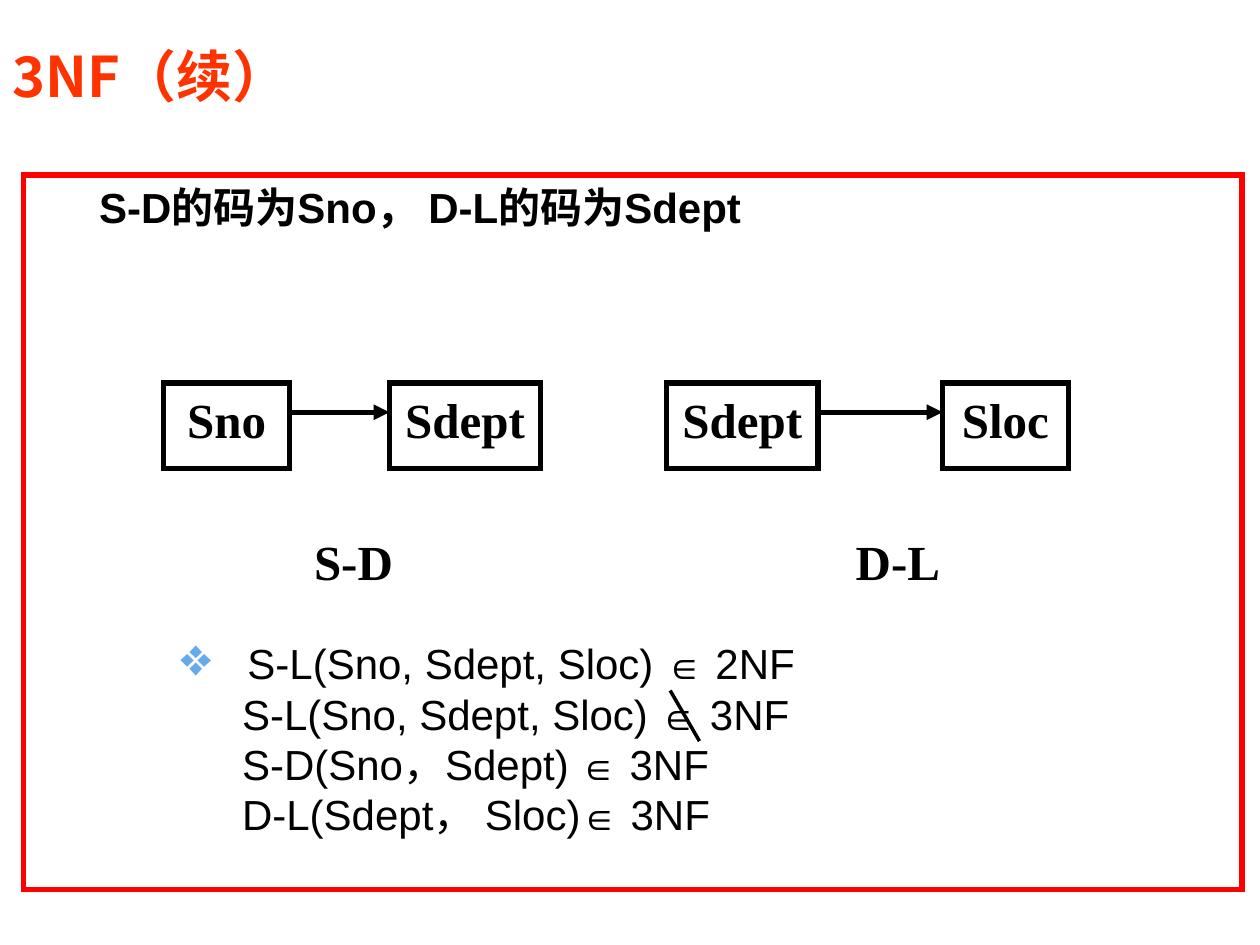
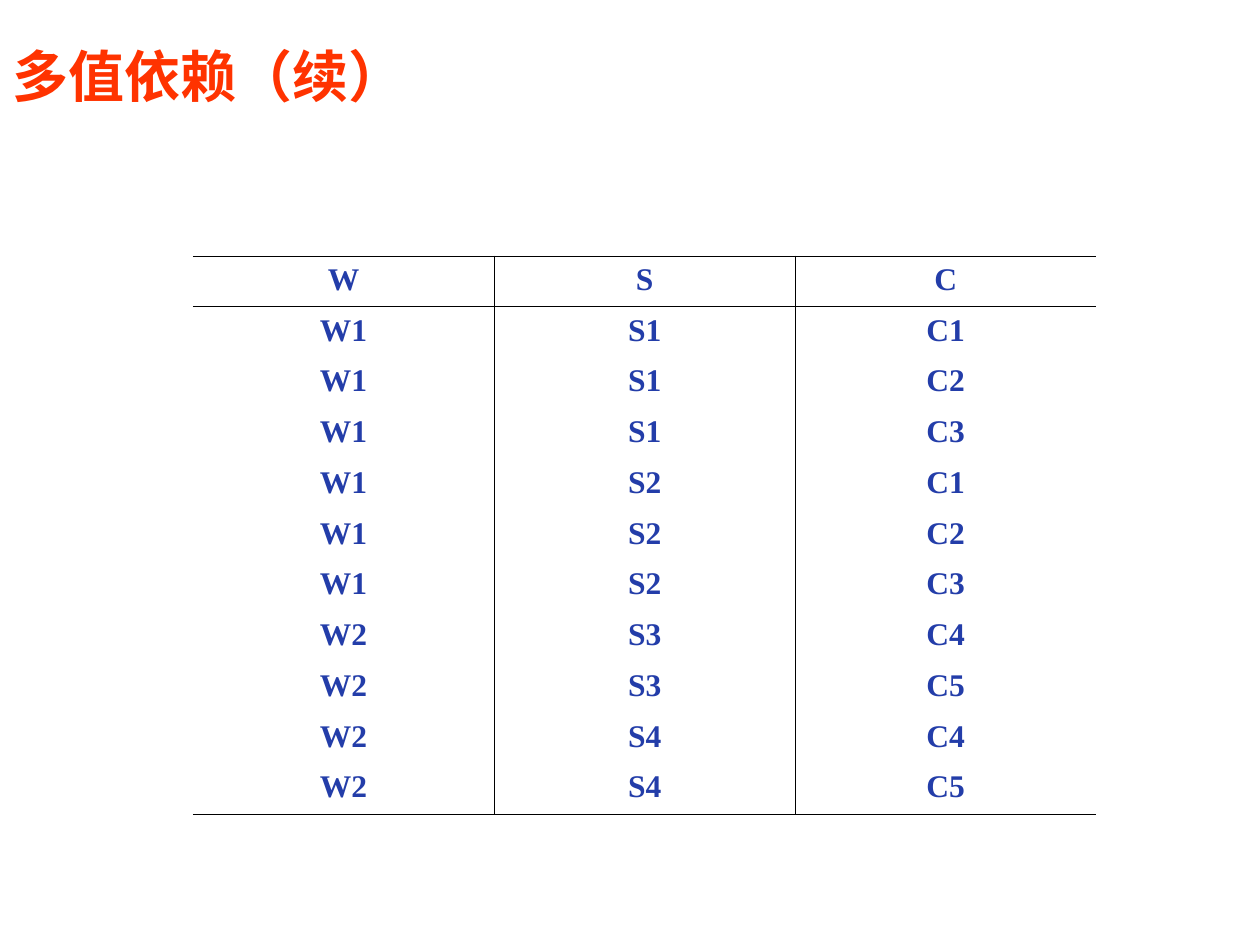
from dataclasses import dataclass

from lxml import etree
from pptx import Presentation
from pptx import util as u
from pptx.dml.color import RGBColor
from pptx.enum import shapes, text
from pptx.oxml import ns


@dataclass(frozen=True)
class Theme:
    title_color: str = "FF3300"
    frame_color: str = "FF0000"
    ink: str = "000000"
    bullet_color: str = "65AAE9"
    table_color: str = "233DA9"
    title_font: str = "Noto Sans CJK SC"
    body_font: str = "Arial"
    diagram_font: str = "Times New Roman"
    title_size: int = 32
    diagram_size: int = 28
    body_size: int = 24
    symbol_size: int = 22
    table_size: int = 18
    heavy: float = 3
    medium: float = 2
    hairline: float = 0.45


def child(parent, tag, **attributes):
    return etree.SubElement(parent, ns.qn(tag), attributes)


def apply(target, values):
    for name, value in values.items():
        setattr(target, name, value)


class Deck:
    def __init__(self, theme):
        self.theme = theme
        self.presentation = Presentation()
        self.presentation.slide_width = u.Cm(25.4)
        self.presentation.slide_height = u.Cm(19.05)
        self.slide = None

    def new_slide(self, title):
        layout = self.presentation.slide_layouts[6]
        self.slide = self.presentation.slides.add_slide(layout)
        theme = self.theme
        frame = self.text_box(0, 0.73, 20.52, 1.57)
        frame.vertical_anchor = text.MSO_ANCHOR.MIDDLE
        run = self.run(frame.paragraphs[0], title, theme.title_font, theme.title_size,
                       theme.title_color, bold=True)
        child(run.font._element, "a:ea", typeface=theme.title_font)

    def run(self, paragraph, words, font, size, color, bold=False):
        run = paragraph.add_run()
        run.text = words
        run.font.color.rgb = RGBColor.from_string(color)
        apply(run.font, {"name": font, "size": u.Pt(size), "bold": bold})
        return run

    def text_box(self, left, top, width, height):
        box = self.slide.shapes.add_textbox(*map(u.Cm, (left, top, width, height)))
        box.text_frame.word_wrap = True
        return box.text_frame

    def outline_box(self, left, top, width, height, color):
        shape = self.slide.shapes.add_shape(
            shapes.MSO_SHAPE.RECTANGLE, *map(u.Cm, (left, top, width, height)))
        shape.shadow.inherit = False
        shape.fill.background()
        shape.line.color.rgb = RGBColor.from_string(color)
        shape.line.width = u.Pt(self.theme.heavy)
        child(shape.line._get_or_add_ln(), "a:miter", lim="800000")
        frame = shape.text_frame
        apply(frame, {"word_wrap": True, "vertical_anchor": text.MSO_ANCHOR.TOP})
        frame.paragraphs[0].alignment = text.PP_ALIGN.LEFT
        return frame

    def diagram_text(self, frame, words):
        paragraph = frame.paragraphs[0]
        paragraph.alignment = text.PP_ALIGN.CENTER
        self.run(paragraph, words, self.theme.diagram_font, self.theme.diagram_size,
                 self.theme.ink, bold=True)

    def line(self, start, end, weight, arrow=False):
        connector = self.slide.shapes.add_connector(
            shapes.MSO_CONNECTOR.STRAIGHT, *map(u.Cm, start + end))
        connector.line.color.rgb = RGBColor.from_string(self.theme.ink)
        connector.line.width = u.Pt(weight)
        if arrow:
            child(connector.line._get_or_add_ln(), "a:tailEnd", type="triangle")
        child(connector._element.spPr, "a:effectLst")

    def indent(self, paragraph, margin, first, bullet=None):
        properties = paragraph._p.get_or_add_pPr()
        properties.set("marL", str(u.Cm(margin)))
        properties.set("indent", str(u.Cm(first)))
        if bullet:
            color = child(properties, "a:buClr")
            child(color, "a:srgbClr", val=self.theme.bullet_color)
            child(properties, "a:buSzPct", val="128000")
            child(properties, "a:buChar", char=bullet)

    def cell_borders(self, cell, visible):
        properties = cell._tc.get_or_add_tcPr()
        for side in "LRTB":
            border = child(properties, f"a:ln{side}", w=str(u.Pt(self.theme.hairline)))
            if side in visible:
                fill = child(border, "a:solidFill")
                child(fill, "a:srgbClr", val=self.theme.ink)
            else:
                child(border, "a:noFill")

    def table(self, rows, left, top, width, height):
        theme = self.theme
        row_count, column_count = len(rows), len(rows[0])
        table = self.slide.shapes.add_table(
            row_count, column_count, *map(u.Cm, (left, top, width, height))).table
        apply(table, {"first_row": False, "horz_banding": False})
        for i, values in enumerate(rows):
            for j, value in enumerate(values):
                cell = table.cell(i, j)
                # Rules above and below the first row, at the foot and between columns
                visible = (("L" if j else "") + ("R" if j < column_count - 1 else "")
                           + ("T" if i < 2 else "")
                           + ("B" if i in (0, row_count - 1) else ""))
                self.cell_borders(cell, visible)
                cell.fill.background()
                paragraph = cell.text_frame.paragraphs[0]
                paragraph.alignment = text.PP_ALIGN.CENTER
                self.run(paragraph, value, theme.diagram_font, theme.table_size,
                         theme.table_color, bold=True)


def third_normal_form(deck):
    theme = deck.theme
    deck.new_slide("3NF（续）")

    # Framed text
    frame = deck.outline_box(0.48, 3.53, 24.56, 14.4, theme.frame_color)
    deck.indent(frame.paragraphs[0], 2.06, -0.79)
    deck.run(frame.paragraphs[0], "S-D的码为Sno， D-L的码为Sdept", theme.body_font,
             theme.body_size, theme.ink, bold=True)

    # Diagrams: (name, left, width) for both boxes and the caption
    box_top, box_height, arrow_y, caption_top = 7.72, 1.73, 8.31, 10.59
    diagrams = [
        (("Sno", 3.3, 2.54), ("Sdept", 7.85, 3.05), ("S-D", 5.84, 2.57)),
        (("Sdept", 13.44, 3.05), ("Sloc", 19, 2.54), ("D-L", 16.97, 2.26)),
    ]
    for source, target, (caption, caption_left, caption_width) in diagrams:
        for name, left, width in (source, target):
            box = deck.outline_box(left, box_top, width, box_height, theme.ink)
            deck.diagram_text(box, name)
        deck.line((source[1] + source[2], arrow_y), (target[1], arrow_y),
                  theme.heavy, arrow=True)
        label = deck.text_box(caption_left, caption_top, caption_width, box_height)
        deck.diagram_text(label, caption)

    # List below the diagrams
    memberships = [
        ("S-L(Sno, Sdept, Sloc) ", "∈", " 2NF"),
        ("S-L(Sno, Sdept, Sloc) ", "∈", " 3NF"),
        ("S-D(Sno，Sdept)", " ∈", " 3NF"),
        ("D-L(Sdept， Sloc)", "∈", " 3NF"),
    ]
    sizes = (theme.body_size, theme.symbol_size, theme.body_size)
    frame = deck.text_box(2.49, 12.73, 14.6, 4.32)
    for i, parts in enumerate(memberships):
        paragraph = frame.add_paragraph() if i else frame.paragraphs[0]
        if i:
            deck.indent(paragraph, 2.14, 0)
        else:
            deck.indent(paragraph, 2.25, -1.35, bullet="❖")
        for words, size in zip(parts, sizes):
            deck.run(paragraph, words, theme.body_font, size, theme.ink)

    # Stroke through the second ∈
    deck.line((13.51, 13.92), (14.1, 14.94), theme.medium)


def multivalued_dependency(deck):
    deck.new_slide("多值依赖（续）")

    # Each W value with all pairs of its S and C values
    groups = [
        ("W1", ("S1", "S2"), ("C1", "C2", "C3")),
        ("W2", ("S3", "S4"), ("C4", "C5")),
    ]
    rows = [("W", "S", "C")]
    rows += [(w, s, c) for w, s_values, c_values in groups
             for s in s_values for c in c_values]
    deck.table(rows, 3.89, 5.16, 18.21, 11.26)


def main():
    deck = Deck(Theme())
    third_normal_form(deck)
    multivalued_dependency(deck)
    deck.presentation.save("out.pptx")


if __name__ == "__main__":
    main()
